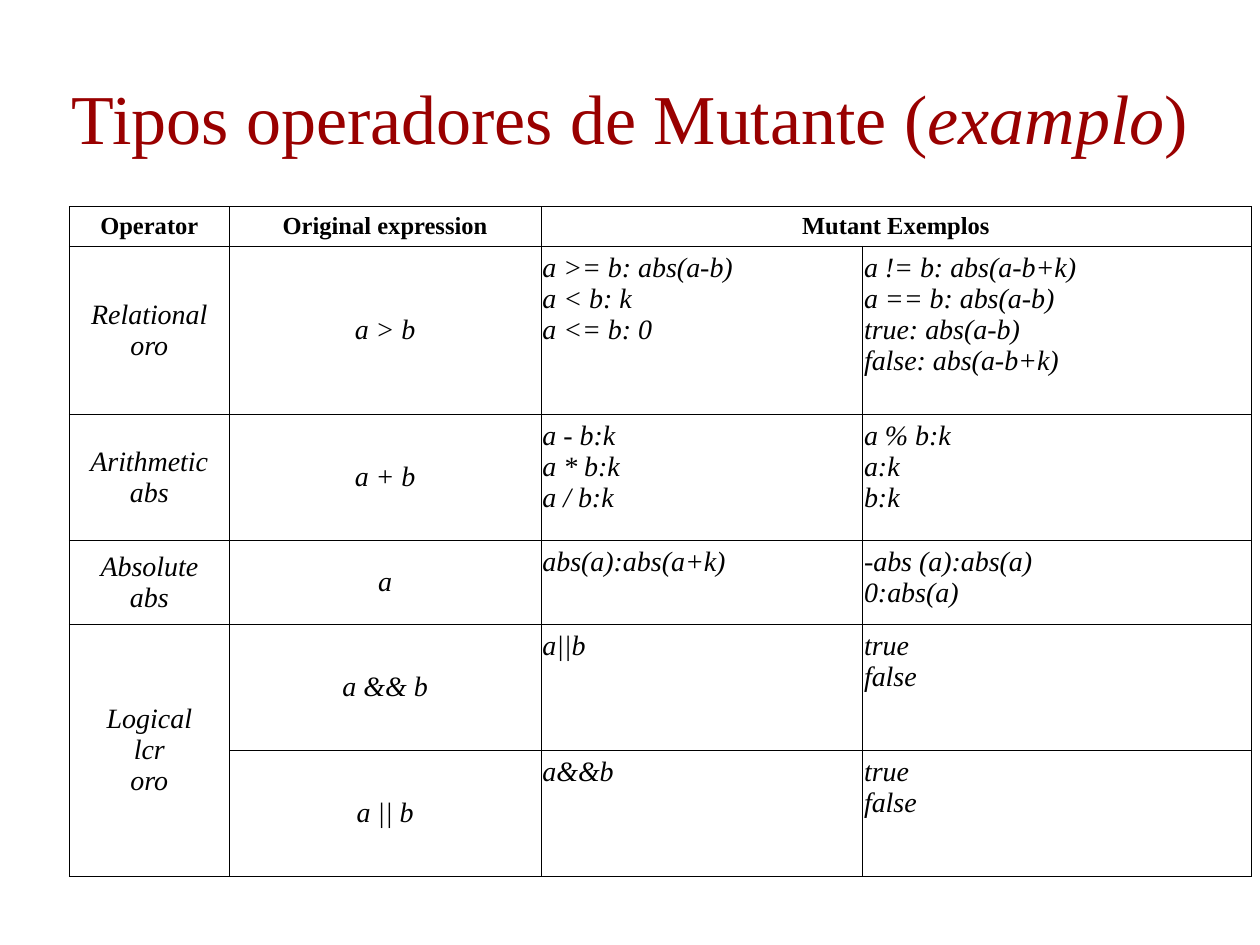
from dataclasses import dataclass

from lxml import etree
from pptx import Presentation
from pptx.dml.color import RGBColor
from pptx.enum.text import MSO_ANCHOR, MSO_AUTO_SIZE, PP_ALIGN
from pptx.oxml.ns import qn
from pptx.util import Pt

CENTER, JUSTIFY = PP_ALIGN.CENTER, PP_ALIGN.JUSTIFY
MIDDLE, TOP = MSO_ANCHOR.MIDDLE, MSO_ANCHOR.TOP
FIXED_SIZE = MSO_AUTO_SIZE.NONE
TITLE_ONLY = 5


@dataclass(frozen=True)
class Theme:
    font: str = "Times New Roman"
    title_color: str = "990000"
    ink: str = "000000"
    title_size: float = 40
    header_size: float = 14
    body_size: float = 16
    border: float = 0.45


THEME = Theme()
COLUMN_WIDTHS = [91.5, 178, 183.8, 222]
ROW_HEIGHTS = [22.6, 96, 72, 48, 72, 72]
HEADERS = ["Operator", "Original expression", "Mutant Exemplos", ""]
OPERATORS = [
    ["Relational\noro", "a > b", "a >= b: abs(a-b)\na < b: k\na <= b: 0",
     "a != b: abs(a-b+k)\na == b: abs(a-b)\ntrue: abs(a-b)\nfalse: abs(a-b+k)"],
    ["Arithmetic\nabs", "a + b", "a - b:k\na * b:k\na / b:k", "a % b:k\na:k\nb:k"],
    ["Absolute\nabs", "a", "abs(a):abs(a+k)", "-abs (a):abs(a)\n0:abs(a)"],
    ["Logical\nlcr\noro", "a && b", "a||b", "true\nfalse"],
    ["", "a || b", "a&&b", "true\nfalse"],
]


def add_text(paragraph, text, *, size, color=THEME.ink, align=CENTER, bold=False, italic=False):
    paragraph.alignment = align
    run = paragraph.add_run()
    run.text = text
    font = run.font
    font.name, font.size = THEME.font, Pt(size)
    font.bold, font.italic = bold, italic
    font.color.rgb = RGBColor.from_string(color)


def add_borders(cell):
    properties = cell._tc.get_or_add_tcPr()
    for side in ("lnL", "lnR", "lnT", "lnB"):
        line = etree.SubElement(properties, qn(f"a:{side}"), w=str(Pt(THEME.border)))
        fill = etree.SubElement(line, qn("a:solidFill"))
        etree.SubElement(fill, qn("a:srgbClr"), val=THEME.ink)


def fill_cell(cell, text, *, anchor, **text_format):
    cell.margin_left = cell.margin_right = Pt(0.9)
    cell.margin_top = cell.margin_bottom = Pt(3.6)
    cell.vertical_anchor = anchor
    add_borders(cell)
    cell.fill.background()
    frame = cell.text_frame
    for index, line in enumerate(text.split("\n") if text else []):
        paragraph = frame.add_paragraph() if index else frame.paragraphs[0]
        add_text(paragraph, line, **text_format)


def place_title(slide, left, top, width, height):
    title = slide.shapes.title
    title.left, title.top, title.width, title.height = map(Pt, (left, top, width, height))
    frame = title.text_frame
    frame.auto_size, frame.word_wrap, frame.vertical_anchor = FIXED_SIZE, True, MIDDLE
    for text, italic in (("Tipos operadores de Mutante (", False), ("examplo", True), (")", False)):
        add_text(frame.paragraphs[0], text, size=THEME.title_size,
                 color=THEME.title_color, italic=italic)


def place_operators(slide, left, top):
    table = slide.shapes.add_table(
        len(ROW_HEIGHTS), len(COLUMN_WIDTHS), Pt(left), Pt(top),
        Pt(sum(COLUMN_WIDTHS)), Pt(sum(ROW_HEIGHTS))).table
    table.first_row = table.horz_banding = False
    for column, width in zip(table.columns, COLUMN_WIDTHS):
        column.width = Pt(width)
    for row, height in zip(table.rows, ROW_HEIGHTS):
        row.height = Pt(height)
    for cell, header in zip(table.rows[0].cells, HEADERS):
        fill_cell(cell, header, anchor=MIDDLE, size=THEME.header_size, bold=True)
    for row_index, operator in enumerate(OPERATORS, start=1):
        for column_index, text in enumerate(operator):
            is_mutant = column_index >= 2
            fill_cell(table.cell(row_index, column_index), text,
                      anchor=TOP if is_mutant else MIDDLE,
                      align=JUSTIFY if is_mutant else CENTER,
                      size=THEME.body_size, italic=True)
    table.cell(0, 2).merge(table.cell(0, 3))
    table.cell(4, 0).merge(table.cell(5, 0))


def main():
    presentation = Presentation()
    presentation.slide_width, presentation.slide_height = Pt(720), Pt(540)
    slide = presentation.slides.add_slide(presentation.slide_layouts[TITLE_ONLY])
    place_title(slide, 0, 21.6, 720, 90)
    place_operators(slide, 39.6, 118)
    presentation.save("out.pptx")


if __name__ == "__main__":
    main()
